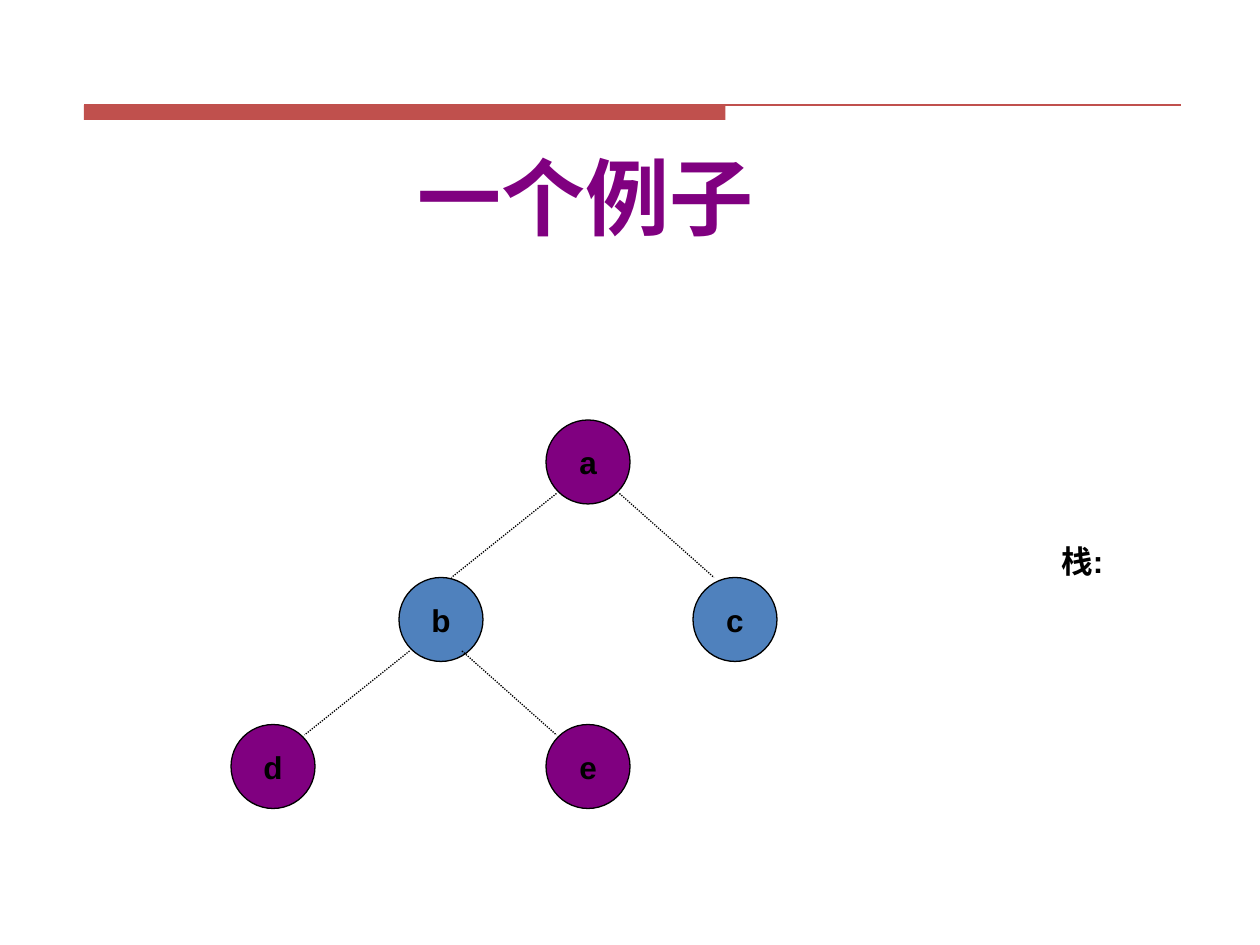
"""Build a slide with a binary tree and the label of its stack."""
import pptx
import pptx.util
import pptx.dml.color
import pptx.enum.dml
import pptx.enum.shapes
import pptx.enum.text
import lxml.etree

Pt = pptx.util.Pt
Color = pptx.dml.color.RGBColor.from_string
Anchor = pptx.enum.text.MSO_ANCHOR
Shape = pptx.enum.shapes.MSO_SHAPE

theme = {
    "purple": Color("800080"),
    "blue": Color("4F81BD"),
    "red": Color("C0504D"),
    "black": Color("000000"),
    "title": {"name": "Calibri", "size": Pt(48), "bold": True},
    "label": {"name": "Arial", "size": Pt(18), "bold": True},
    "line_width": Pt(0.75),
}


def write_text(shape, text, font, color, anchor, wrap):
    frame = shape.text_frame
    frame_format = {
        "text": text,
        "word_wrap": wrap,
        "vertical_anchor": anchor,
        "auto_size": pptx.enum.text.MSO_AUTO_SIZE.NONE,
    }
    for name, value in frame_format.items():
        setattr(frame, name, value)
    paragraph = frame.paragraphs[0]
    paragraph.alignment = pptx.enum.text.PP_ALIGN.CENTER
    run = paragraph.runs[0]
    for name, value in theme[font].items():
        setattr(run.font, name, value)
    run.font.color.rgb = theme[color]


def draw_line(start, end, color, dash=None):
    connector = slide.shapes.add_connector(
        pptx.enum.shapes.MSO_CONNECTOR.STRAIGHT, *map(Pt, start + end)
    )
    connector.line.color.rgb = theme[color]
    connector.line.width = theme["line_width"]
    connector.line.dash_style = dash
    properties = connector.line._get_or_add_ln().getparent()
    lxml.etree.SubElement(properties, pptx.oxml.ns.qn("a:effectLst"))


presentation = pptx.Presentation()
presentation.slide_width = Pt(720)
presentation.slide_height = Pt(540)
slide = presentation.slides.add_slide(presentation.slide_layouts[5])

band = slide.shapes.add_shape(Shape.RECTANGLE, Pt(48), Pt(60), Pt(366.5), Pt(8.6))
band.shadow.inherit = False
band.fill.solid()
band.fill.fore_color.rgb = theme["red"]
band.line.fill.background()
draw_line((48, 60), (674.6, 60), "red")

title = slide.shapes.title
title_place = {"left": Pt(229.7), "top": Pt(67), "width": Pt(209.5), "height": Pt(90)}
for name, value in title_place.items():
    setattr(title, name, value)
write_text(title, "一个例子", "title", "purple", Anchor.MIDDLE, True)

diameter = 48
nodes = {
    "a": (336, 264, "purple"),
    "b": (252, 354, "blue"),
    "c": (420, 354, "blue"),
    "d": (156, 438, "purple"),
    "e": (336, 438, "purple"),
}
for letter, (center_x, center_y, color) in nodes.items():
    node = slide.shapes.add_shape(
        Shape.OVAL,
        Pt(center_x - diameter / 2),
        Pt(center_y - diameter / 2),
        Pt(diameter),
        Pt(diameter),
    )
    node.shadow.inherit = False
    node.fill.solid()
    node.fill.fore_color.rgb = theme[color]
    node.line.color.rgb = theme["black"]
    node.line.width = theme["line_width"]
    write_text(node, letter, "label", "black", Anchor.MIDDLE, False)

edges = [
    ((318, 282), (258, 330)),
    ((354, 282), (408, 330)),
    ((234, 372), (174, 420)),
    ((264, 372), (318, 420)),
]
for start, end in edges:
    draw_line(start, end, "black", pptx.enum.dml.MSO_LINE.ROUND_DOT)

stack_label = slide.shapes.add_textbox(Pt(599), Pt(306), Pt(39), Pt(137))
write_text(stack_label, "栈:", "label", "black", Anchor.TOP, False)

presentation.save("out.pptx")
